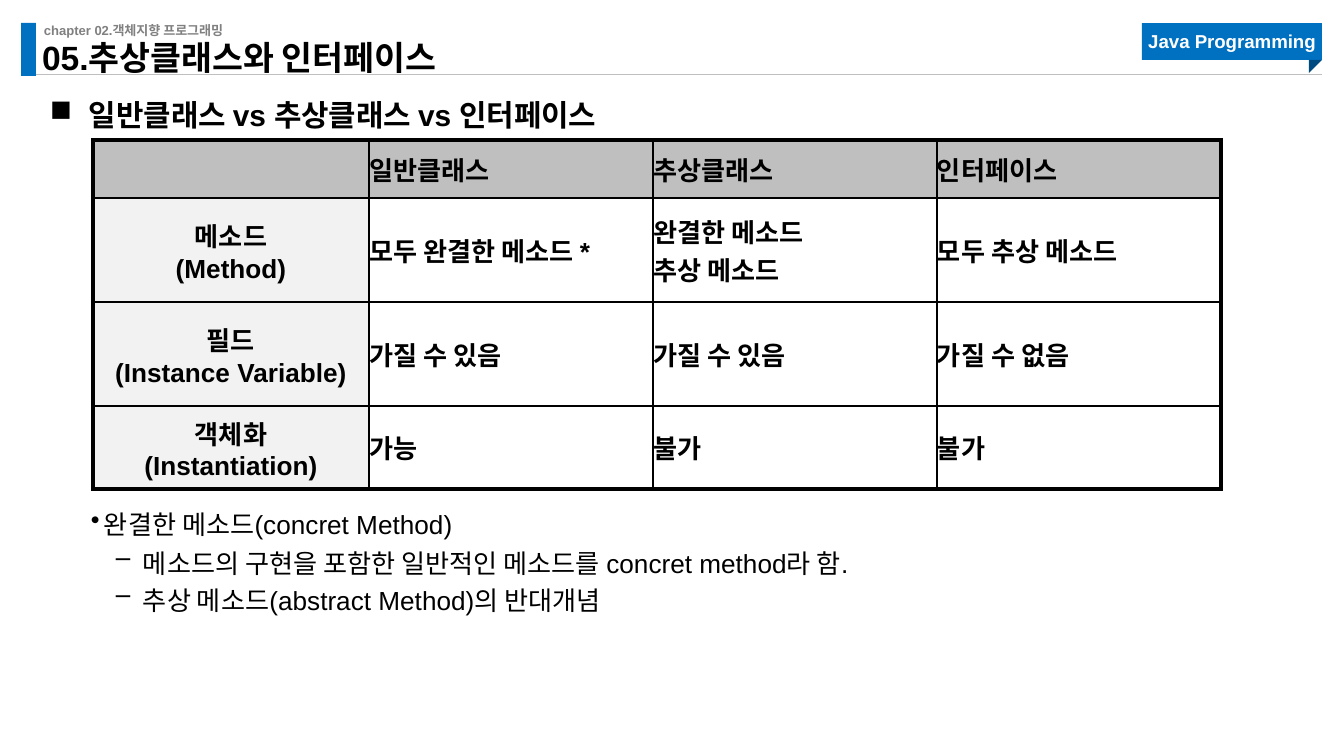
from pptx import Presentation
from pptx import util as u
from pptx.dml.color import RGBColor
from pptx.enum import shapes, text
from pptx.oxml import parse_xml
from pptx.oxml.ns import nsdecls

SCALE = 9144000 / 1344
BLUE = "0070C0"
HEADS = ["", "일반클래스", "추상클래스", "인터페이스"]
ROWS = [
    ["메소드\n(Method)", "모두 완결한 메소드 *", "완결한 메소드\n추상 메소드", "모두 추상 메소드"],
    ["필드\n(Instance Variable)", "가질 수 있음", "가질 수 있음", "가질 수 없음"],
    ["객체화\n(Instantiation)", "가능", "불가", "불가"],
]
NOTES = [
    ("완결한 메소드(concret Method)", dict(bullet="•", left=54, hang=13, lead=1.5)),
    ("메소드의 구현을 포함한 일반적인 메소드를 concret method라 함.",
     dict(bullet="–", left=93, hang=27, before=5)),
    ("추상 메소드(abstract Method)의 반대개념",
     dict(bullet="–", left=93, hang=27, before=5)),
]


def px(n):
    """Turn pixels into EMU."""
    return u.Emu(round(n * SCALE))


def color(code):
    """Turn a hex string into a colour."""
    return RGBColor.from_string(code)


def write(para, words, size=14, ink="000000", bold=False, align=None,
          lead=None, before=None, bullet=None, left=0, hang=0):
    """Fill one paragraph with formatted text."""
    if bullet:
        props = para._p.get_or_add_pPr()
        props.set("marL", str(px(left)))
        props.set("indent", str(-px(hang)))
        props.append(parse_xml(f'<a:buChar {nsdecls("a")} char="{bullet}"/>'))
    if align:
        para.alignment = align
    if lead:
        para.line_spacing = lead
    if before:
        para.space_before = u.Pt(before)
    run = para.add_run()
    run.text = words
    font = run.font
    font.name, font.size, font.bold = "Arial", u.Pt(size), bold
    font.color.rgb = color(ink)


def add_box(slide, area, items, anchor=text.MSO_ANCHOR.TOP, fit=text.MSO_AUTO_SIZE.NONE):
    """Add a text box without margins, one paragraph per item."""
    frame = slide.shapes.add_textbox(*map(px, area)).text_frame
    frame.margin_left = frame.margin_right = 0
    frame.margin_top = frame.margin_bottom = 0
    frame.word_wrap = True
    frame.auto_size = fit
    frame.vertical_anchor = anchor
    for i, (words, style) in enumerate(items):
        para = frame.add_paragraph() if i else frame.paragraphs[0]
        write(para, words, **style)


def add_block(slide, kind, area, fill):
    """Add a filled shape without outline."""
    block = slide.shapes.add_shape(kind, *map(px, area))
    block.shadow.inherit = False
    block.fill.solid()
    block.fill.fore_color.rgb = color(fill)
    block.line.fill.background()
    return block


def add_rule(slide, start, end, ink, width):
    """Add a straight line."""
    rule = slide.shapes.add_connector(shapes.MSO_CONNECTOR.STRAIGHT, *map(px, start + end))
    rule.line.color.rgb = color(ink)
    rule.line.width = u.Pt(width)
    rule._element.spPr.append(parse_xml(f'<a:effectLst {nsdecls("a")}/>'))


def add_edge(cell, side, width):
    """Draw one black border of a cell."""
    cell._tc.get_or_add_tcPr().append(parse_xml(
        f'<a:ln{side} {nsdecls("a")} w="{u.Pt(width)}"><a:solidFill>'
        f'<a:srgbClr val="000000"/></a:solidFill></a:ln{side}>'))


def add_grid(slide, spot, cols, rows, data):
    """Add the comparison table."""
    area = (*spot, sum(cols), sum(rows))
    grid = slide.shapes.add_table(len(rows), len(cols), *map(px, area)).table
    for col, width in zip(grid.columns, cols):
        col.width = px(width)
    for row, height in zip(grid.rows, rows):
        row.height = px(height)
    for r, line in enumerate(data):
        for c, words in enumerate(line):
            cell = grid.cell(r, c)
            cell.margin_left = cell.margin_right = 0
            cell.margin_top = cell.margin_bottom = 0
            cell.vertical_anchor = text.MSO_ANCHOR.MIDDLE
            outer = {"L": c == 0, "R": c == len(cols) - 1,
                     "T": r == 0, "B": r == len(rows) - 1}
            for side, thick in outer.items():
                add_edge(cell, side, 2.25 if thick else 1)
            cell.fill.solid()
            cell.fill.fore_color.rgb = color(
                "BFBFBF" if r == 0 else "F2F2F2" if c == 0 else "FFFFFF")
            align = text.PP_ALIGN.LEFT if c else text.PP_ALIGN.CENTER
            for i, part in enumerate(words.split("\n") if words else []):
                para = cell.text_frame.add_paragraph() if i else cell.text_frame.paragraphs[0]
                write(para, part, bold=True, align=align)


def add_badge(slide):
    """Add the folded course label."""
    badge = add_block(slide, shapes.MSO_SHAPE.RECTANGLE, (1142, 23, 180, 37), BLUE)
    frame = badge.text_frame
    frame.margin_left = frame.margin_right = 0
    frame.margin_top = frame.margin_bottom = 0
    frame.vertical_anchor = text.MSO_ANCHOR.MIDDLE
    write(frame.paragraphs[0], "Java Programming", size=10, ink="FFFFFF",
          bold=True, align=text.PP_ALIGN.CENTER)
    fold = add_block(slide, shapes.MSO_SHAPE.RIGHT_TRIANGLE, (1309, 60, 13, 13), "004A82")
    fold.rotation = 90


def main():
    """Build the slide and save it."""
    deck = Presentation()
    deck.slide_width, deck.slide_height = px(1344), px(756)
    slide = deck.slides.add_slide(deck.slide_layouts[6])
    shrink = text.MSO_AUTO_SIZE.TEXT_TO_FIT_SHAPE
    add_rule(slide, (21, 75), (1322, 75), "BFBFBF", 0.5)
    add_block(slide, shapes.MSO_SHAPE.RECTANGLE, (21, 23, 15, 53), BLUE)
    add_box(slide, (44, 22, 434, 16),
            [("chapter 02.객체지향 프로그래밍", dict(size=7, ink="808080", bold=True))])
    add_badge(slide)
    add_box(slide, (42, 47, 444, 31),
            [("05.추상클래스와 인터페이스", dict(size=18, bold=True, lead=0.9))],
            anchor=text.MSO_ANCHOR.BOTTOM)
    add_box(slide, (50, 79, 1282, 44),
            [("일반클래스 vs 추상클래스 vs 인터페이스",
              dict(size=16, bold=True, bullet="■", left=39, hang=39, lead=1.5))])
    add_grid(slide, (93, 140), [276, 284, 284, 284], [58, 104, 104, 83], [HEADS] + ROWS)
    add_box(slide, (50, 497, 1308, 142), NOTES, fit=shrink)
    deck.save("out.pptx")


if __name__ == "__main__":
    main()
